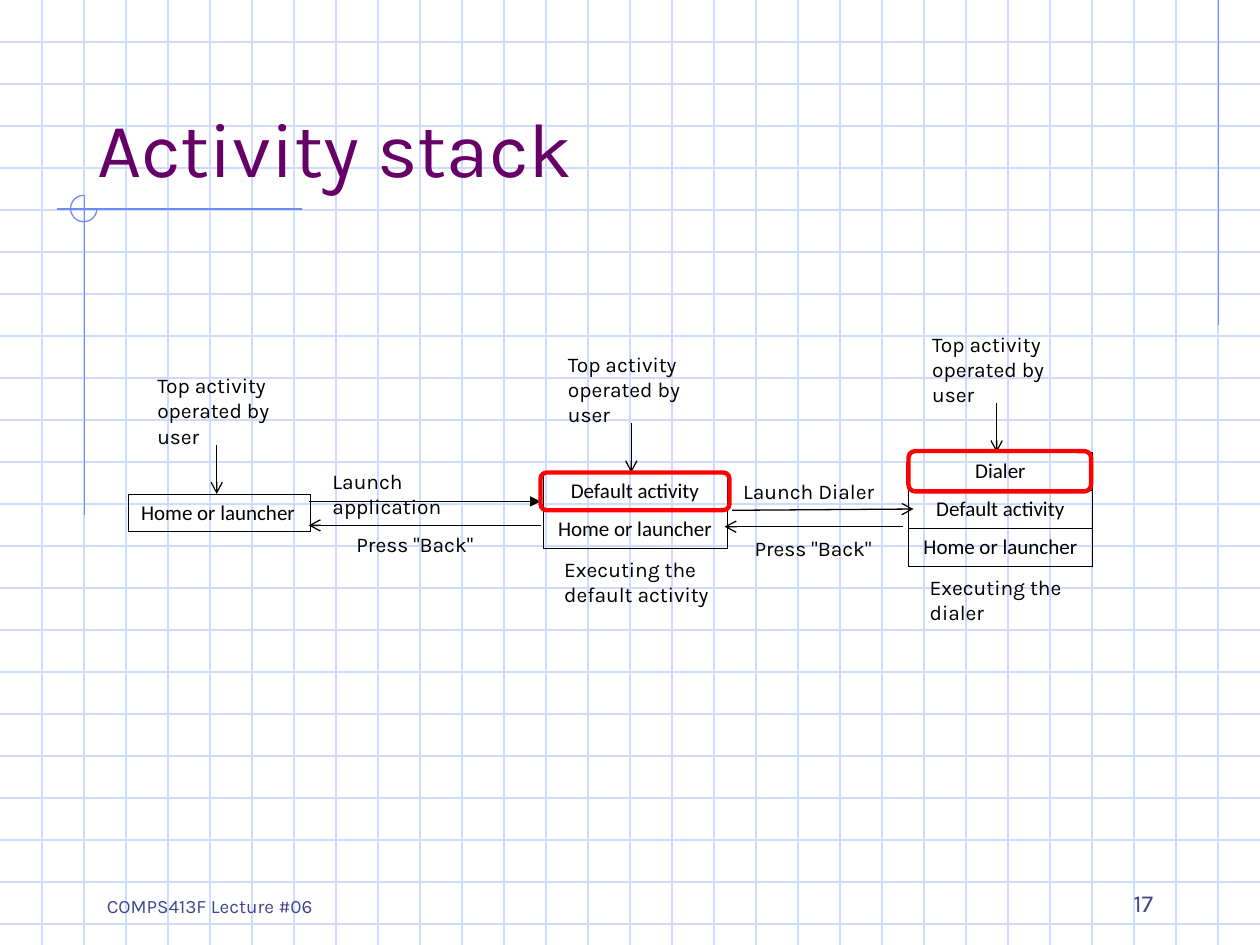
from pptx import Presentation
from pptx.dml.color import RGBColor
from pptx.enum.shapes import MSO_CONNECTOR, MSO_SHAPE
from pptx.enum.text import MSO_ANCHOR, MSO_AUTO_SIZE, PP_ALIGN
from pptx.oxml.ns import qn
from pptx.util import Inches, Pt
from lxml import etree

LINE = MSO_CONNECTOR.STRAIGHT
ARC, ROUND = MSO_SHAPE.ARC, MSO_SHAPE.ROUNDED_RECTANGLE
LEFT, MID, RIGHT = PP_ALIGN.LEFT, PP_ALIGN.CENTER, PP_ALIGN.RIGHT
TOP, LOW = MSO_ANCHOR.TOP, MSO_ANCHOR.BOTTOM


class Theme:
    grid, trim, title = "CFDBFD", "6F89F7", "660066"
    foot, ink, mark = "40458C", "000000", "FF0000"
    font, cell = "Karla", "Calibri"
    head, num, body, small = 44, 14, 12, 10.8
    thin, edge, bold = 0.75, 0.45, 2.5


# Content, in inches
WIDE, HIGH, STEP, ROW = 10, 7.5, 1 / 3, 0.3
TITLE = "Activity stack"
FOOT = [("COMPS413F Lecture #06", 0.75, Theme.small, LEFT),
        ("17", 7.17, Theme.num, RIGHT)]
NOTE = "Top activity\noperated by\nuser"
TRIM = [(9.67, 0, 9.67, 2.58), (2.4, 1.66, 0.45, 1.66), (0.67, 1.55, 0.67, 4.09)]
# left, top, width, note left, cell alignment, caption, rows
STACKS = [
    (1.02, 3.92, 1.44, 1.15, LEFT, "", ["Home or launcher"]),
    (4.31, 3.75, 1.46, 4.41, MID, "Executing the\ndefault activity",
     ["Default activity", "Home or launcher"]),
    (7.21, 3.59, 1.46, 7.3, MID, "Executing the\ndialer",
     ["Dialer", "Default activity", "Home or launcher"]),
]
# label, label box, arrow ends, arrowhead
MOVES = [
    ("Launch application", (2.54, 3.67, 1.58, 0.5), (2.45, 3.98, 4.29, 3.98), "triangle"),
    ("Launch Dialer", (5.8, 3.75, 1.27, ROW), (5.81, 4.05, 7.25, 4.04), "arrow"),
    ('Press "Back"', (2.73, 4.17, 1.17, ROW), (4.29, 4.17, 2.45, 4.17), "arrow"),
    ('Press "Back"', (5.89, 4.2, 1.17, ROW), (7.17, 4.18, 5.75, 4.18), "arrow"),
]
MARKS = [(4.29, 3.75, 1.5, 0.3), (7.21, 3.58, 1.45, 0.32)]


def rgb(tone):
    return RGBColor.from_string(tone)


def inch(box):
    return [Inches(n) for n in box]


def write(frame, text, size, tone, font=Theme.font, align=LEFT, anchor=TOP):
    frame.text = text
    frame.word_wrap = True
    frame.vertical_anchor = anchor
    for para in frame.paragraphs:
        para.alignment = align
        for run in para.runs:
            run.font.size, run.font.name = Pt(size), font
            run.font.color.rgb = rgb(tone)


def label(slide, box, text, size=Theme.body, tone=Theme.ink, **look):
    write(slide.shapes.add_textbox(*inch(box)).text_frame, text, size, tone, **look)


def rule(slide, ends, tone, head=None):
    line = slide.shapes.add_connector(LINE, *inch(ends))
    line.line.color.rgb = rgb(tone)
    line.line.width = Pt(Theme.thin)
    props = line._element.spPr
    if head:
        etree.SubElement(props.find(qn("a:ln")), qn("a:tailEnd"), type=head)
    etree.SubElement(props, qn("a:effectLst"))


def outline(slide, kind, box, tone, width):
    shape = slide.shapes.add_shape(kind, *inch(box))
    shape.shadow.inherit = False
    shape.fill.background()
    shape.line.color.rgb = rgb(tone)
    shape.line.width = Pt(width)
    return shape


def border(cell):
    props = cell._tc.get_or_add_tcPr()
    for spot, side in enumerate(("lnL", "lnR", "lnT", "lnB")):
        edge = etree.Element(qn("a:" + side), w=str(Pt(Theme.edge)))
        fill = etree.SubElement(edge, qn("a:solidFill"))
        etree.SubElement(fill, qn("a:srgbClr"), val=Theme.ink)
        props.insert(spot, edge)


def stack(slide, left, top, width, align, names):
    box = inch((left, top, width, ROW * len(names)))
    table = slide.shapes.add_table(len(names), 1, *box).table
    table.first_row = table.horz_banding = False
    for cell, name in zip(table.iter_cells(), names):
        cell.fill.background()
        write(cell.text_frame, name, Theme.body, Theme.ink, Theme.cell, align)
        border(cell)


def main():
    deck = Presentation()
    deck.slide_width, deck.slide_height = Inches(WIDE), Inches(HIGH)
    slide = deck.slides.add_slide(deck.slide_layouts[5])

    # Squared paper and trim
    for n in range(1, int(HIGH / STEP) + 1):
        rule(slide, (0, n * STEP, WIDE, n * STEP), Theme.grid)
    for n in range(1, int(WIDE / STEP)):
        rule(slide, (n * STEP, 0, n * STEP, HIGH), Theme.grid)
    for ends in TRIM:
        rule(slide, ends, Theme.trim)
    arc = outline(slide, ARC, (0.56, 1.55, 0.21, 0.21), Theme.trim, Theme.thin)
    arc.adjustments[0], arc.adjustments[1] = 0, 162  # right round to top

    # Title, brought in front of the paper, and footer
    title = slide.shapes.title
    title.left, title.top, title.width, title.height = inch((0.67, 0.33, 8.5, 1.25))
    write(title.text_frame, TITLE, Theme.head, Theme.title, anchor=LOW)
    title.text_frame.auto_size = MSO_AUTO_SIZE.NONE
    slide.shapes._spTree.append(title._element)
    for text, left, size, align in FOOT:
        label(slide, (left, 6.83, 2.08, 0.5), text, size, Theme.foot,
              align=align, anchor=LOW)

    # Stacks with their notes and captions
    for left, top, width, side, align, caption, names in STACKS:
        stack(slide, left, top, width, align, names)
        label(slide, (side, top - 1.01, 1.14, 0.7), NOTE)
        rule(slide, (left + 0.7, top - 0.39, left + 0.7, top), Theme.ink, "arrow")
        if caption:
            low = top + ROW * len(names) + 0.02
            label(slide, (left + 0.07, low, 1.4, 0.5), caption)

    # Moves between stacks
    for text, box, ends, head in MOVES:
        rule(slide, ends, Theme.ink, head)
        label(slide, box, text)

    # Top activity marks
    for box in MARKS:
        outline(slide, ROUND, box, Theme.mark, Theme.bold)

    deck.save("out.pptx")


if __name__ == "__main__":
    main()
